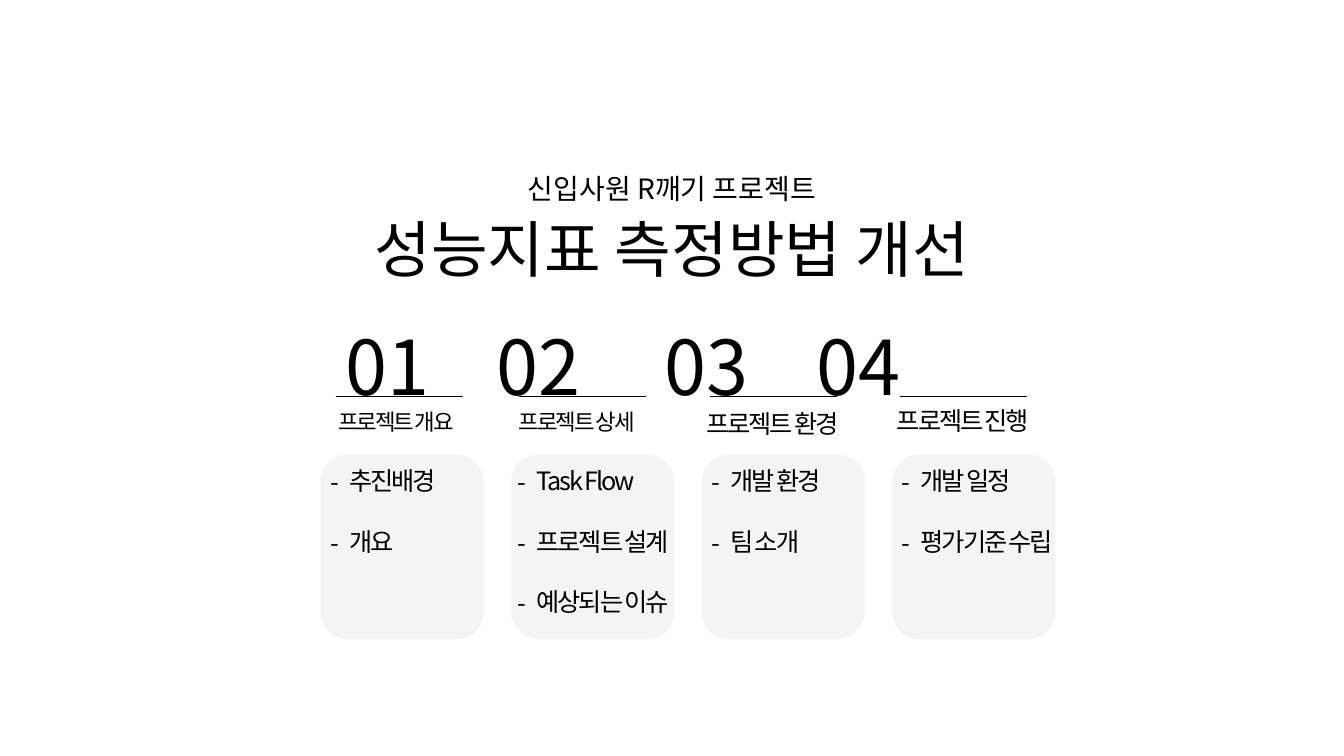
from dataclasses import dataclass

from lxml import etree
from pptx import Presentation
from pptx.dml.color import RGBColor
from pptx.enum.shapes import MSO_CONNECTOR, MSO_SHAPE
from pptx.enum.text import MSO_ANCHOR, MSO_AUTO_SIZE, PP_ALIGN
from pptx.oxml.ns import qn
from pptx.shapes.base import BaseShape
from pptx.slide import Slide
from pptx.text.text import TextFrame
from pptx.util import Pt

STRAIGHT = MSO_CONNECTOR.STRAIGHT
ROUNDED = MSO_SHAPE.ROUNDED_RECTANGLE
MIDDLE = MSO_ANCHOR.MIDDLE
TOP = MSO_ANCHOR.TOP
NO_AUTOFIT = MSO_AUTO_SIZE.NONE
LEFT = PP_ALIGN.LEFT
CENTER = PP_ALIGN.CENTER

FONT = "Noto Sans CJK KR"
BLACK = "000000"
CARD_GRAY = "F2F2F2"
LINE_HEIGHT = 1.29
TIGHT = -150
CARD_LEFT, CARD_PITCH = 229, 136.08
CARD_TOP, CARD_WIDTH, CARD_HEIGHT = 324.7, 116.6, 131.8
RULE_TOP, RULE_WIDTH = 283, 90.7
LIST_TOP, LIST_HEIGHT, LIST_INDENT, LIST_GAP = 327.6, 117, 13.5, 20
NUMBER_TABS = (108, 228, 336.5)


@dataclass
class Box:
    left: float
    top: float
    width: float
    height: float


@dataclass
class Style:
    size: float
    align: PP_ALIGN = LEFT
    anchor: MSO_ANCHOR = TOP
    tracking: int = 0


@dataclass
class Section:
    label: str
    label_box: Box
    label_style: Style
    rule_left: float
    list_left: float
    list_width: float
    items: list[str]


SECTIONS = [
    Section("프로젝트 개요", Box(229, 286.6, 108, 26.6), Style(16, CENTER, tracking=TIGHT),
            239.8, 229, 131, ["추진배경", "개요"]),
    Section("프로젝트 상세", Box(363.6, 286.6, 141.8, 26.6), Style(16, tracking=TIGHT),
            370.8, 362.9, 207.4, ["Task Flow", "프로젝트 설계", "예상되는 이슈"]),
    Section("프로젝트 환경", Box(497.5, 286.6, 136, 28.8), Style(18, tracking=TIGHT),
            506.9, 501.1, 131, ["개발 환경", "팀 소개"]),
    Section("프로젝트 진행", Box(633.6, 284.4, 147.6, 28.8), Style(18, tracking=TIGHT),
            643, 637.2, 131, ["개발 일정", "평가기준 수립"]),
]


def color(value: str) -> RGBColor:
    return RGBColor.from_string(value)


def place(shape: BaseShape, box: Box) -> None:
    shape.left, shape.top = Pt(box.left), Pt(box.top)
    shape.width, shape.height = Pt(box.width), Pt(box.height)


def format_text(frame: TextFrame, style: Style) -> None:
    frame.word_wrap = True
    frame.auto_size = NO_AUTOFIT
    frame.vertical_anchor = style.anchor
    for paragraph in frame.paragraphs:
        paragraph.alignment = style.align
        paragraph.line_spacing = Pt(round(style.size * LINE_HEIGHT, 1))
        for run in paragraph.runs:
            run.font.size = Pt(style.size)
            run.font.color.rgb = color(BLACK)
            run.font.name = FONT
            properties = run.font._element
            etree.SubElement(properties, qn("a:ea"), typeface=FONT)
            if style.tracking:
                properties.set("spc", str(style.tracking))


def add_text(slide: Slide, text: str, box: Box, style: Style) -> TextFrame:
    shape = slide.shapes.add_textbox(
        Pt(box.left), Pt(box.top), Pt(box.width), Pt(box.height))
    shape.text_frame.text = text
    format_text(shape.text_frame, style)
    return shape.text_frame


def add_title(slide: Slide, text: str, box: Box, style: Style) -> None:
    title = slide.shapes.title
    place(title, box)
    title.text_frame.text = text
    format_text(title.text_frame, style)


def add_numbers(slide: Slide) -> None:
    text = "\t".join(f"{number:02d}" for number in range(1, len(SECTIONS) + 1))
    frame = add_text(slide, text, Box(239.8, 220.3, 668.9, 72.7), Style(54))
    properties = frame.paragraphs[0]._p.get_or_add_pPr()
    tabs = etree.SubElement(properties, qn("a:tabLst"))
    for position in NUMBER_TABS:
        etree.SubElement(tabs, qn("a:tab"), pos=str(Pt(position)), algn="l")


def add_card(slide: Slide, left: float) -> None:
    card = slide.shapes.add_shape(
        ROUNDED, Pt(left), Pt(CARD_TOP), Pt(CARD_WIDTH), Pt(CARD_HEIGHT))
    card.shadow.inherit = False
    card.fill.solid()
    card.fill.fore_color.rgb = color(CARD_GRAY)
    card.line.fill.background()
    fill_color = card._element.spPr.find(qn("a:solidFill"))[0]
    etree.SubElement(fill_color, qn("a:alpha"), val="80000")


def add_rule(slide: Slide, left: float) -> None:
    rule = slide.shapes.add_connector(
        STRAIGHT, Pt(left), Pt(RULE_TOP), Pt(left + RULE_WIDTH), Pt(RULE_TOP))
    rule.line.color.rgb = color(BLACK)
    rule.line.width = Pt(0.5)
    etree.SubElement(rule._element.spPr, qn("a:effectLst"))


def add_list(slide: Slide, section: Section) -> None:
    box = Box(section.list_left, LIST_TOP, section.list_width, LIST_HEIGHT)
    frame = add_text(slide, "\n".join(section.items), box, Style(18, tracking=TIGHT))
    for index, paragraph in enumerate(frame.paragraphs):
        properties = paragraph._p.get_or_add_pPr()
        properties.set("marL", str(Pt(LIST_INDENT)))
        properties.set("indent", str(-Pt(LIST_INDENT)))
        etree.SubElement(properties, qn("a:buFont"), typeface=FONT)
        etree.SubElement(properties, qn("a:buChar"), char="-")
        if index:
            paragraph.space_before = Pt(LIST_GAP)


def main() -> None:
    presentation = Presentation()
    presentation.slide_width, presentation.slide_height = Pt(960), Pt(540)
    slide = presentation.slides.add_slide(presentation.slide_layouts[5])
    add_title(slide, "성능지표 측정방법 개선", Box(120, 81, 720, 188),
              Style(44, CENTER, MIDDLE))
    add_text(slide, "신입사원 R깨기 프로젝트", Box(120, 117.5, 720, 32.4), Style(20, CENTER))
    add_numbers(slide)
    for index, section in enumerate(SECTIONS):
        add_card(slide, CARD_LEFT + index * CARD_PITCH)
        add_rule(slide, section.rule_left)
        add_text(slide, section.label, section.label_box, section.label_style)
        add_list(slide, section)
    presentation.save("out.pptx")


if __name__ == "__main__":
    main()
